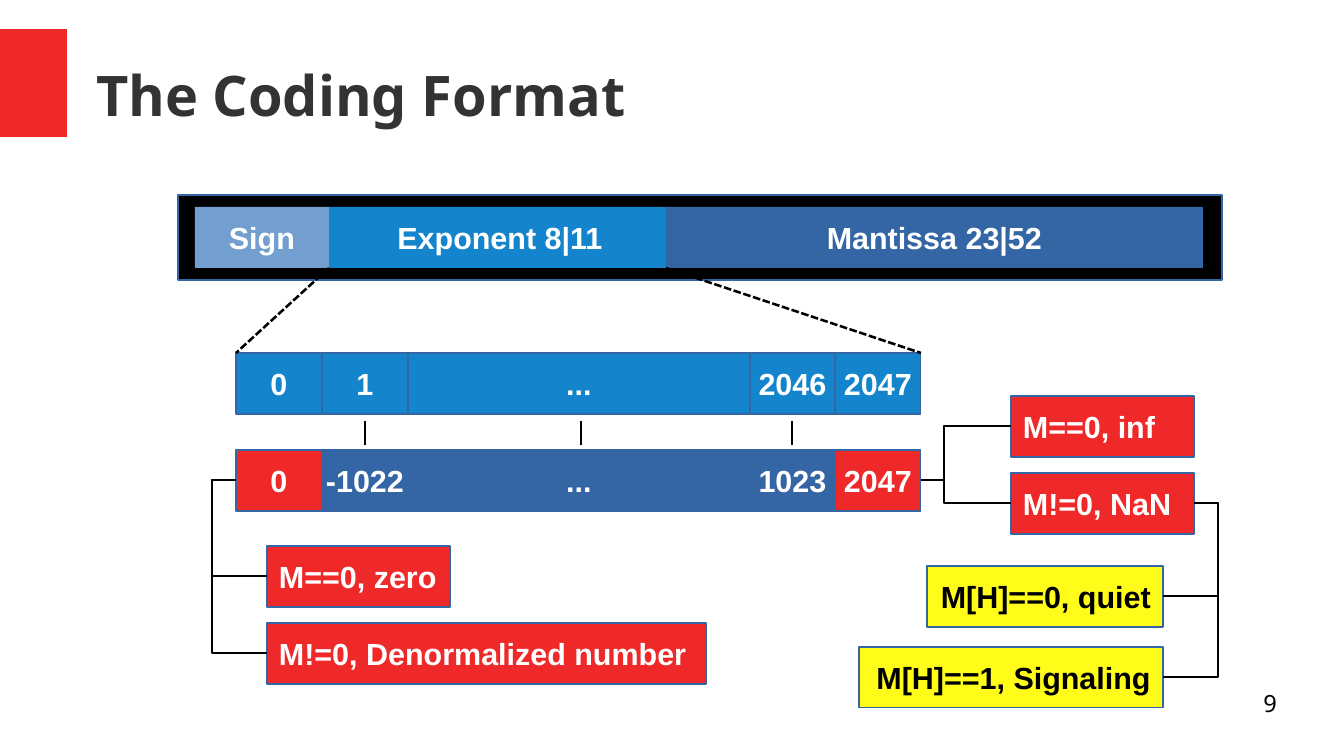
from typing import NamedTuple, Optional

from lxml import etree
from pptx import Presentation
from pptx.dml.color import RGBColor
from pptx.enum.dml import MSO_LINE
from pptx.enum.shapes import MSO_CONNECTOR, MSO_SHAPE
from pptx.enum.text import MSO_ANCHOR, PP_ALIGN
from pptx.oxml.ns import qn
from pptx.util import Pt

RECTANGLE = MSO_SHAPE.RECTANGLE
STRAIGHT, ELBOW = MSO_CONNECTOR.STRAIGHT, MSO_CONNECTOR.ELBOW
LEFT, CENTER, RIGHT = PP_ALIGN.LEFT, PP_ALIGN.CENTER, PP_ALIGN.RIGHT
TOP, MIDDLE = MSO_ANCHOR.TOP, MSO_ANCHOR.MIDDLE
SHORT_DASH = MSO_LINE.SQUARE_DOT

EMU_PER_PIXEL = 914400 / 122
BOX_HEIGHT = 61
COLORS = {
    "red": "EF2929",
    "black": "000000",
    "white": "FFFFFF",
    "title": "333333",
    "sign": "729FCF",
    "exponent": "1485CC",
    "mantissa": "3465A4",
    "yellow": "FFFC19",
}


class Box(NamedTuple):
    text: str
    left: int
    top: int
    width: int
    fill: str
    height: int = BOX_HEIGHT
    align: PP_ALIGN = CENTER
    text_color: str = "white"
    outline: Optional[str] = "mantissa"


class Link(NamedTuple):
    start: tuple[int, int]
    end: tuple[int, int]
    bend: Optional[int] = None
    dashed: bool = False


def emu(pixels: int) -> int:
    return round(pixels * EMU_PER_PIXEL)


def color(name: str) -> RGBColor:
    return RGBColor.from_string(COLORS[name])


def write_text(shape, text: str, *, size: int = 18, font: str = "Arial",
               text_color: str = "white", bold: bool = True,
               align: PP_ALIGN = CENTER, anchor: MSO_ANCHOR = MIDDLE,
               wrap: bool = False, inset: Optional[int] = None) -> None:
    frame = shape.text_frame
    frame.word_wrap = wrap
    frame.vertical_anchor = anchor
    if inset is not None:
        frame.margin_left = frame.margin_right = emu(inset)
        frame.margin_top = frame.margin_bottom = emu(inset)
    paragraph = frame.paragraphs[0]
    paragraph.alignment = align
    run = paragraph.add_run()
    run.text = text
    run.font.name = font
    run.font.size = Pt(size)
    run.font.bold = bold
    run.font.color.rgb = color(text_color)


def draw_box(slide, box: Box) -> None:
    shape = slide.shapes.add_shape(
        RECTANGLE, emu(box.left), emu(box.top), emu(box.width), emu(box.height))
    shape.shadow.inherit = False
    shape.fill.solid()
    shape.fill.fore_color.rgb = color(box.fill)
    if box.outline:
        shape.line.color.rgb = color(box.outline)
        shape.line.width = Pt(0)
    else:
        shape.line.fill.background()
    if box.text:
        write_text(shape, box.text, align=box.align, text_color=box.text_color)


def draw_link(slide, link: Link) -> None:
    kind = STRAIGHT if link.bend is None else ELBOW
    connector = slide.shapes.add_connector(
        kind, *(emu(value) for value in link.start + link.end))
    connector.line.color.rgb = color("black")
    connector.line.width = Pt(1.5)
    if link.dashed:
        connector.line.dash_style = SHORT_DASH
    properties = connector._element.spPr
    etree.SubElement(properties, qn("a:effectLst"))
    if link.bend is not None:
        start_x, end_x = link.start[0], link.end[0]
        ratio = round(100000 * (link.bend - start_x) / (end_x - start_x))
        adjustments = properties.find(qn("a:prstGeom")).get_or_add_avLst()
        etree.SubElement(adjustments, qn("a:gd"), name="adj1", fmla=f"val {ratio}")


def draw_row(slide, top: int, labels: list[str], fills: list[str]) -> None:
    left = ROW_LEFT
    for label, fill, width in zip(labels, fills, ROW_WIDTHS):
        draw_box(slide, Box(label, left, top, width, fill))
        left += width


ROW_LEFT = 236
ROW_WIDTHS = [86, 86, 342, 85, 86]
ROW_RIGHT = ROW_LEFT + sum(ROW_WIDTHS)
CODE_TOP, VALUE_TOP = 353, 450
VALUE_MIDDLE = VALUE_TOP + BOX_HEIGHT // 2

FORMAT_BOXES = [
    Box("Exponent 8|11", 329, 207, 342, "exponent", outline=None),
    Box("Sign", 195, 207, 134, "sign", outline=None),
    Box("Mantissa 23|52", 666, 207, 537, "mantissa", outline=None),
]
ZERO_CASES = [
    Box("M==0, zero", 267, 546, 183, "red", align=LEFT),
    Box("M!=0, Denormalized number", 267, 623, 439, "red", align=LEFT),
]
INFINITY_CASE = Box("M==0, inf", 1011, 396, 183, "red", align=LEFT)
NAN_CASE = Box("M!=0, NaN", 1011, 473, 183, "red", align=LEFT)
NAN_KINDS = [
    Box("M[H]==0, quiet", 927, 566, 236, "yellow", align=RIGHT, text_color="black"),
    Box("M[H]==1, Signaling", 859, 647, 304, "yellow", align=RIGHT, text_color="black"),
]


def left_port(box: Box) -> tuple[int, int]:
    return box.left, box.top + box.height // 2


def right_port(box: Box) -> tuple[int, int]:
    return box.left + box.width, box.top + box.height // 2


LINKS = [
    *(Link((x, 421), (x, 445)) for x in (365, 581, 792)),
    *(Link((ROW_LEFT, VALUE_MIDDLE), left_port(box), bend=212) for box in ZERO_CASES),
    *(Link((ROW_RIGHT, VALUE_MIDDLE), left_port(box), bend=944)
      for box in (INFINITY_CASE, NAN_CASE)),
    *(Link(right_port(NAN_CASE), right_port(box), bend=1218) for box in NAN_KINDS),
    Link((329, 268), (ROW_LEFT, CODE_TOP), dashed=True),
    Link((666, 268), (ROW_RIGHT, CODE_TOP), dashed=True),
]

presentation = Presentation()
presentation.slide_width = emu(1344)
presentation.slide_height = emu(756)
slide = presentation.slides.add_slide(presentation.slide_layouts[5])

title = slide.shapes.title
title.left, title.top, title.width, title.height = map(emu, (96, 31, 1181, 127))
write_text(title, "The Coding Format", size=33, font="Noto Sans", text_color="title",
           align=LEFT, wrap=True, inset=0)

draw_box(slide, Box("", 0, 29, 67, "red", height=108, outline=None))
draw_box(slide, Box("", 178, 195, 1044, "black", height=85))
draw_row(slide, CODE_TOP, ["0", "1", "...", "2046", "2047"], ["exponent"] * 5)
draw_row(slide, VALUE_TOP, ["0", "-1022", "...", "1023", "2047"],
         ["red", "mantissa", "mantissa", "mantissa", "red"])
for box in [*ZERO_CASES, INFINITY_CASE, NAN_CASE, *NAN_KINDS, *FORMAT_BOXES]:
    draw_box(slide, box)
for link in LINKS:
    draw_link(slide, link)

slide_number = slide.shapes.add_textbox(*map(emu, (964, 689, 313, 52)))
write_text(slide_number, "9", size=14, font="Noto Sans", text_color="black",
           bold=False, align=RIGHT, anchor=TOP, wrap=True, inset=0)

presentation.save("out.pptx")
